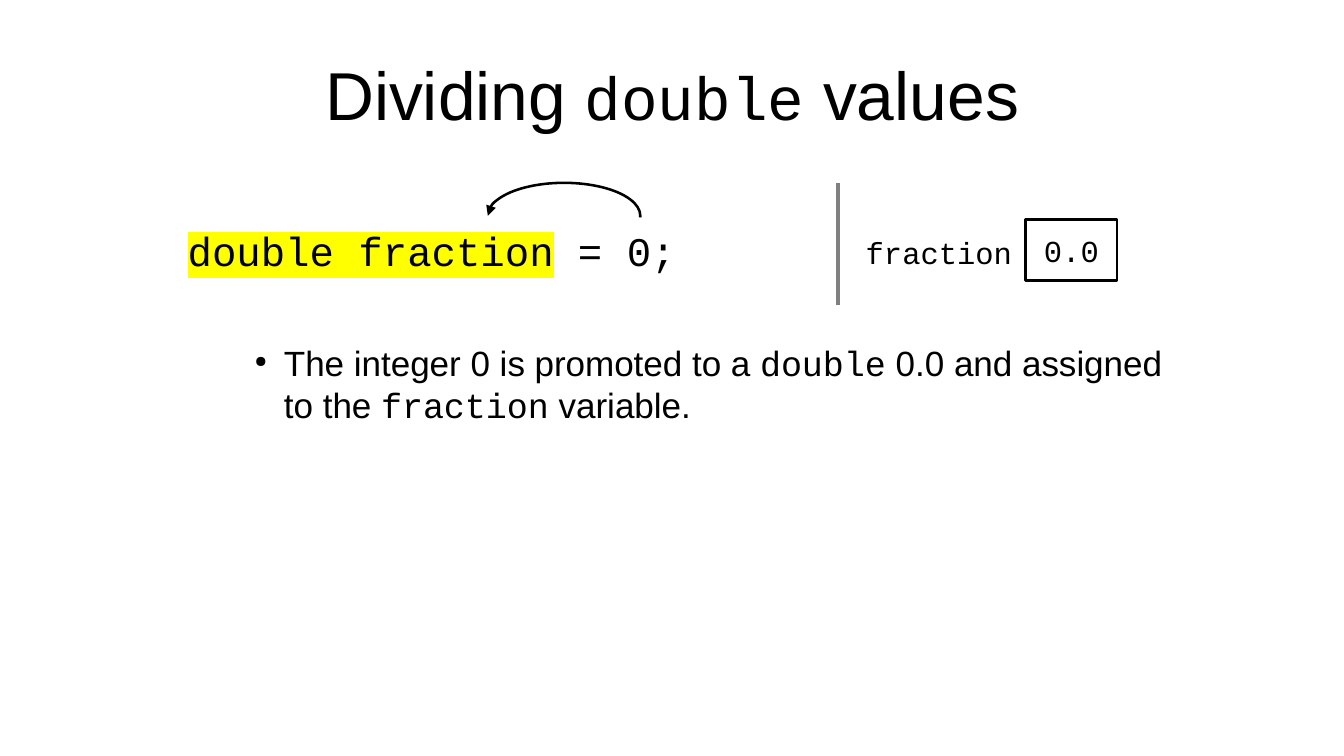
from dataclasses import dataclass

from lxml import etree
from pptx import Presentation
from pptx import util as u
from pptx.dml.color import RGBColor
from pptx.enum import shapes, text
from pptx.oxml.ns import qn

SANS, MONO = "Arial", "Courier New"
BLACK, WHITE, GREY, YELLOW = "000000", "FFFFFF", "808080", "FFFF00"
CENTER, LEFT = text.PP_ALIGN.CENTER, text.PP_ALIGN.LEFT
MIDDLE, TOP = text.MSO_ANCHOR.MIDDLE, text.MSO_ANCHOR.TOP


@dataclass(frozen=True)
class Run:
    text: str
    size: float
    font: str = MONO
    highlight: str = ""


@dataclass(frozen=True)
class TextBox:
    """Place, in points, and formatting of one text box."""
    left: float
    top: float
    width: float
    height: float
    runs: tuple[Run, ...]
    align: text.PP_ALIGN = LEFT
    anchor: text.MSO_ANCHOR = TOP
    inset_x: float = 7.2
    inset_y: float = 3.6
    bullet: bool = False


TEXT_BOXES = (
    TextBox(39.6, 18, 714.24, 74.88,
            (Run("Dividing ", 40, SANS), Run("double", 36), Run(" values", 40, SANS)),
            CENTER, MIDDLE, 0, 0),
    TextBox(103.68, 129.6, 306, 34.56,
            (Run("double fraction", 24, highlight=YELLOW), Run(" = 0;", 24))),
    TextBox(143.28, 198, 558.72, 58.32,
            (Run("The integer 0 is promoted to a ", 20.7, SANS), Run("double", 20.7),
             Run(" 0.0 and assigned to the ", 20.7, SANS), Run("fraction", 20.7),
             Run(" variable.", 20.7, SANS)),
            bullet=True),
    TextBox(504, 134.64, 100.8, 27.36, (Run("fraction", 18),)),
)


def color(value: str) -> RGBColor:
    return RGBColor.from_string(value)


def add_bullet(paragraph) -> None:
    properties = paragraph._p.get_or_add_pPr()
    properties.set("marL", str(u.Pt(17.28)))
    properties.set("indent", str(u.Pt(-17.28)))
    bullet_color = etree.SubElement(properties, qn("a:buClr"))
    etree.SubElement(bullet_color, qn("a:srgbClr"), val=BLACK)
    etree.SubElement(properties, qn("a:buSzPct"), val="45000")
    etree.SubElement(properties, qn("a:buChar"), char="●")


def add_run(paragraph, item: Run) -> None:
    run = paragraph.add_run()
    run.text = item.text
    run.font.size = u.Pt(item.size)
    run.font.name = item.font
    run.font.color.rgb = color(BLACK)
    if item.highlight:
        highlight = etree.Element(qn("a:highlight"))
        etree.SubElement(highlight, qn("a:srgbClr"), val=item.highlight)
        run._r.rPr.find(qn("a:solidFill")).addnext(highlight)


def fill_text(shape, box: TextBox, wrap: bool = True) -> None:
    frame = shape.text_frame
    frame.word_wrap = wrap
    frame.vertical_anchor = box.anchor
    frame.margin_left = frame.margin_right = u.Pt(box.inset_x)
    frame.margin_top = frame.margin_bottom = u.Pt(box.inset_y)
    paragraph = frame.paragraphs[0]
    paragraph.alignment = box.align
    if box.bullet:
        add_bullet(paragraph)
    for item in box.runs:
        add_run(paragraph, item)


def add_outlined_shape(slide, kind, left: float, top: float, width: float, height: float):
    shape = slide.shapes.add_shape(kind, u.Pt(left), u.Pt(top), u.Pt(width), u.Pt(height))
    shape.shadow.inherit = False
    shape.line.color.rgb = color(BLACK)
    shape.line.width = u.Pt(1.5)
    return shape


def add_value_box(slide) -> None:
    box = TextBox(605.52, 129.6, 54, 36, (Run("0.0", 18),), CENTER, MIDDLE, 7.92, 4.32)
    shape = add_outlined_shape(slide, shapes.MSO_SHAPE.RECTANGLE,
                               box.left, box.top, box.width, box.height)
    shape.fill.solid()
    shape.fill.fore_color.rgb = color(WHITE)
    fill_text(shape, box, wrap=False)


def add_divider(slide) -> None:
    x = u.Pt(494.64)
    divider = slide.shapes.add_connector(shapes.MSO_CONNECTOR.STRAIGHT,
                                         x, u.Pt(108), x, u.Pt(180))
    divider.line.color.rgb = color(GREY)
    divider.line.width = u.Pt(0)
    etree.SubElement(divider._element.spPr, qn("a:effectLst"))


def add_assignment_arrow(slide) -> None:
    """Draw the half ellipse that points from the value to the variable."""
    arc = add_outlined_shape(slide, shapes.MSO_SHAPE.ARC, 288, 108, 90, 38.88)
    arc.adjustments[0] = 107.98
    arc.adjustments[1] = 0.78
    arc.fill.background()
    etree.SubElement(arc.line._get_or_add_ln(), qn("a:headEnd"), type="triangle")


def main() -> None:
    presentation = Presentation()
    presentation.slide_width = u.Pt(793.44)
    presentation.slide_height = u.Pt(446.4)
    slide = presentation.slides.add_slide(presentation.slide_layouts[6])
    for box in TEXT_BOXES:
        shape = slide.shapes.add_textbox(u.Pt(box.left), u.Pt(box.top),
                                         u.Pt(box.width), u.Pt(box.height))
        fill_text(shape, box)
    add_value_box(slide)
    add_divider(slide)
    add_assignment_arrow(slide)
    presentation.save("out.pptx")


if __name__ == "__main__":
    main()
